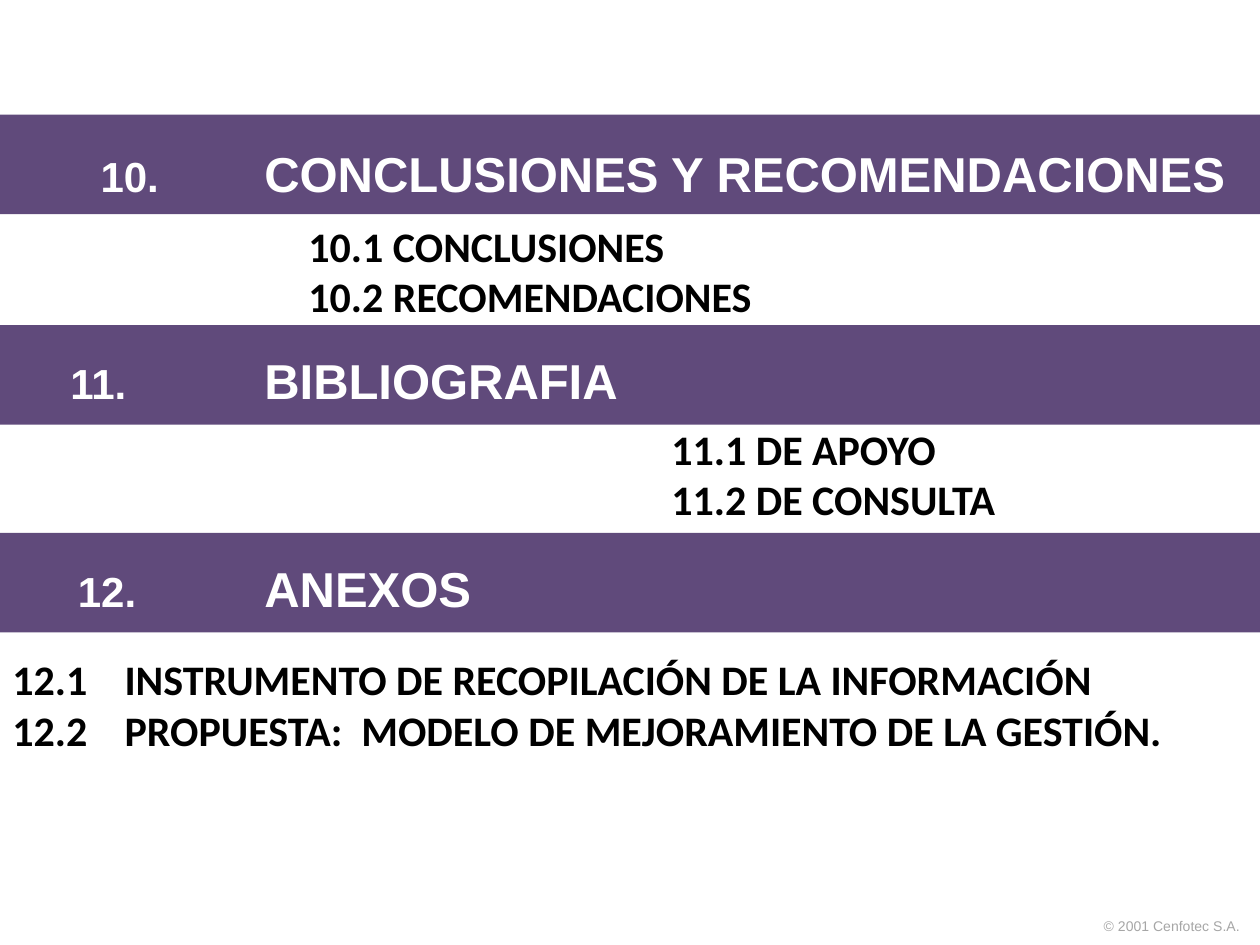
from pptx import Presentation
from pptx.dml.color import RGBColor
from pptx.enum.shapes import MSO_SHAPE
from pptx.enum.text import MSO_ANCHOR, PP_ALIGN
from pptx.util import Inches, Pt

PURPLE = RGBColor(0x60, 0x4A, 0x7B)
WHITE = RGBColor(0xFF, 0xFF, 0xFF)
BLACK = RGBColor(0, 0, 0)
GRAY = RGBColor(0xA6, 0xA6, 0xA6)

SLIDE_WIDTH = 10
BAND_HEIGHT = 0.79
HEADING_START = 2.0

# Band top, number, heading, number start, top inset
BANDS = [
    (0.91, "10.", "CONCLUSIONES Y RECOMENDACIONES", 0.7, 0.18),
    (2.58, "11.", "BIBLIOGRAFIA", 0.46, 0.13),
    (4.23, "12.", "ANEXOS", 0.52, 0.13),
]
# Left, top, width, height, hanging indent, lines
LISTS = [
    (2.35, 1.7, 4.77, 0.9, 0,
     ["10.1 CONCLUSIONES", "10.2 RECOMENDACIONES"]),
    (5.23, 3.31, 4.77, 0.9, 0,
     ["11.1 DE APOYO", "11.2 DE CONSULTA"]),
    (0, 5.14, 9.75, 1.7, 0.89,
     ["12.1\tINSTRUMENTO DE RECOPILACIÓN DE LA INFORMACIÓN",
      "12.2\tPROPUESTA:  MODELO DE MEJORAMIENTO DE LA GESTIÓN."]),
]
FOOTER = "© 2001 Cenfotec S.A."


def write(shape, lines, font="Calibri", color=BLACK, bold=True,
          align=PP_ALIGN.JUSTIFY, start=0, hanging=0,
          anchor=MSO_ANCHOR.TOP, top_inset=0.05):
    """Fill a shape; each line is a list of (text, size) runs."""
    frame = shape.text_frame
    frame.word_wrap = True
    frame.vertical_anchor = anchor
    frame.margin_top = Inches(top_inset)
    for index, runs in enumerate(lines):
        paragraph = frame.paragraphs[0] if index == 0 else frame.add_paragraph()
        paragraph.alignment = align
        if hanging:
            properties = paragraph._p.get_or_add_pPr()
            properties.set("marL", str(Inches(hanging)))
            properties.set("indent", str(Inches(start - hanging)))
        for text, size in runs:
            run = paragraph.add_run()
            run.text = text
            run.font.name = font
            run.font.size = Pt(size)
            run.font.bold = bold
            run.font.color.rgb = color


presentation = Presentation()
presentation.slide_width = Inches(SLIDE_WIDTH)
presentation.slide_height = Inches(7.5)
slide = presentation.slides.add_slide(presentation.slide_layouts[6])

# Copyright line
footer = slide.shapes.add_textbox(Inches(6.83), Inches(7.23), Inches(3.11), Inches(0.24))
write(footer, [[(FOOTER, 8)]], font="Arial", color=GRAY, bold=False,
      align=PP_ALIGN.RIGHT)

# Section bands
for top, number, heading, start, top_inset in BANDS:
    band = slide.shapes.add_shape(MSO_SHAPE.RECTANGLE, 0, Inches(top),
                                  Inches(SLIDE_WIDTH), Inches(BAND_HEIGHT))
    band.shadow.inherit = False
    band.fill.solid()
    band.fill.fore_color.rgb = PURPLE
    band.line.fill.background()
    write(band, [[(number + "\t", 24), (heading, 28)]], font="Arial", color=WHITE,
          start=start, hanging=HEADING_START, anchor=MSO_ANCHOR.MIDDLE,
          top_inset=top_inset)

# Subsection lists
for left, top, width, height, hanging, lines in LISTS:
    box = slide.shapes.add_textbox(Inches(left), Inches(top), Inches(width), Inches(height))
    write(box, [[(line, 24)] for line in lines], hanging=hanging)

presentation.save("out.pptx")
